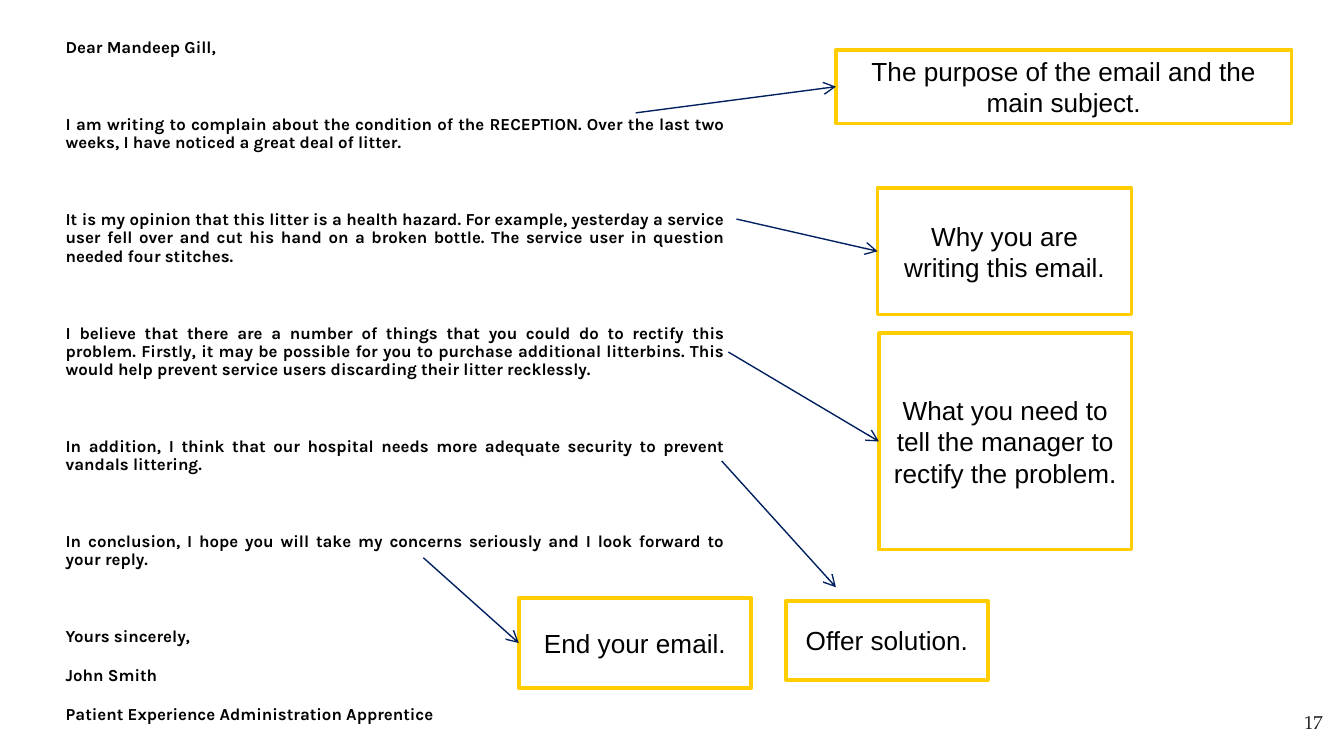
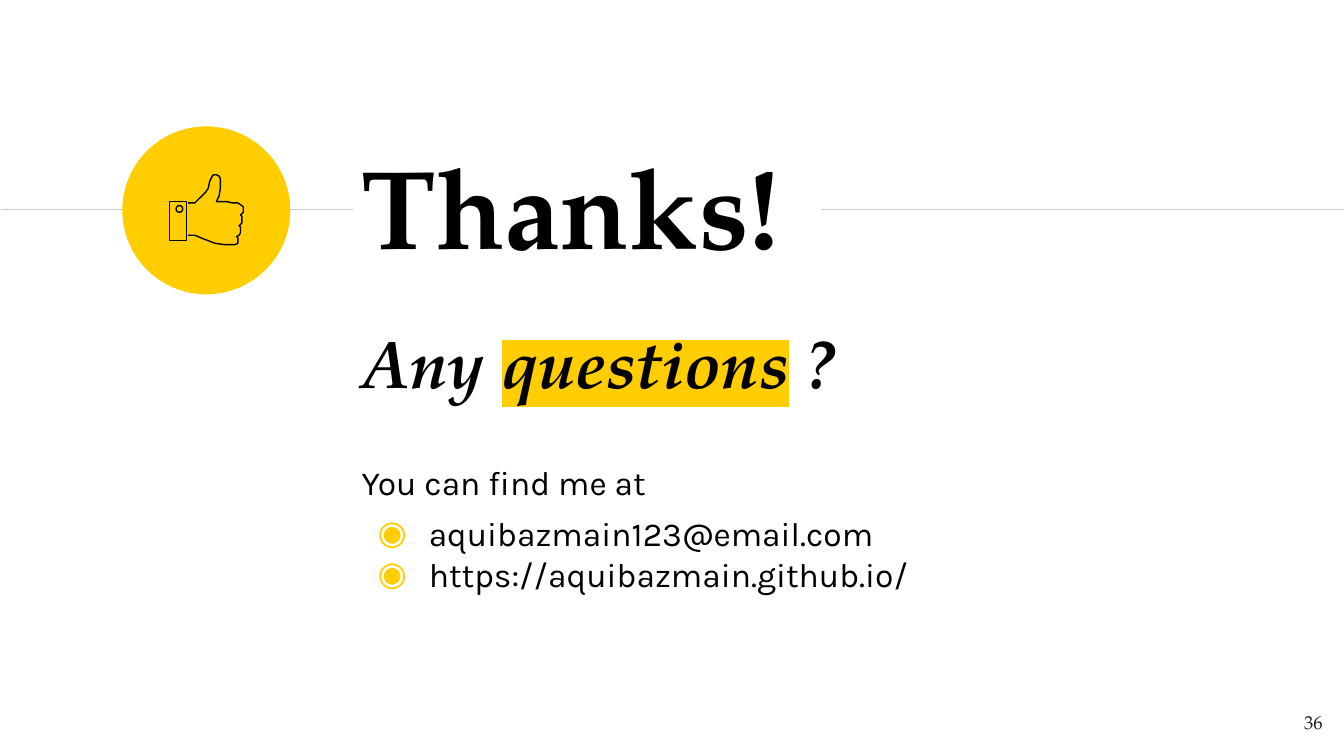
from lxml.etree import SubElement
from pptx import Presentation
from pptx.dml.color import RGBColor
from pptx.enum.shapes import MSO_CONNECTOR as Connector, MSO_SHAPE as Preset
from pptx.enum.text import MSO_ANCHOR as Anchor, MSO_AUTO_SIZE as AutoSize, PP_ALIGN as Align
from pptx.oxml.ns import qn
from pptx.util import Inches, Pt

COLUMNS = 100  # square grid cells across the slide
COLORS = {
    "text": "000000",
    "number": "1D1D1B",
    "accent": "FFCD00",
    "arrow": "002060",
    "rule": "CCCCCC",
    "paper": "FFFFFF",
}
SERIF, SANS, PLAIN = "TeX Gyre Pagella", "Karla", "Arial"
TITLE_LAYOUT, BLANK_LAYOUT = 0, 6
LEFT_SIDE = 1  # connection site of a rectangle

LETTER_GAP, SECTION_GAP = 11, 31.5
LETTER = [
    ("Dear Mandeep Gill,", 0),
    ("I am writing to complain about the condition of the RECEPTION. Over the last two "
     "weeks, I have noticed a great deal of litter.", SECTION_GAP),
    ("It is my opinion that this litter is a health hazard. For example, yesterday a "
     "service user fell over and cut his hand on a broken bottle. The service user in "
     "question needed four stitches.", SECTION_GAP),
    ("I believe that there are a number of things that you could do to rectify this "
     "problem. Firstly, it may be possible for you to purchase additional litterbins. "
     "This would help prevent service users discarding their litter recklessly.",
     SECTION_GAP),
    ("In addition, I think that our hospital needs more adequate security to prevent "
     "vandals littering.", SECTION_GAP),
    ("In conclusion, I hope you will take my concerns seriously and I look forward to "
     "your reply.", SECTION_GAP),
    ("Yours sincerely,", SECTION_GAP),
    ("John Smith", LETTER_GAP),
    ("Patient Experience Administration Apprentice", LETTER_GAP),
]

# Text, box, arrow start, arrow end (None: the middle of the box's left side)
CALLOUTS = [
    ("The purpose of the email and the main subject.",
     (62.2, 3.7, 33.9, 5.5), (47.3, 8.4), None),
    ("Why you are writing this email.", (65.3, 14, 18.9, 9.4), (54.8, 16.3), None),
    ("What you need to tell the manager to rectify the problem.",
     (65.4, 24.8, 18.8, 16.1), (54.2, 26.2), None),
    ("Offer solution.", (58.5, 44.7, 15, 5.9), (53.7, 34.3), (62.2, 43.7)),
    ("End your email.", (38.6, 44.5, 17.3, 6.7), (31.5, 41.5), None),
]

HAND = [
    (14, 17.5), (14.5, 17.5), (15.2, 17.8), (16, 18.1), (16.7, 18.2), (17.5, 18.2),
    (17.7, 18.1), (17.7, 17.7), (17.6, 17.6), (17.8, 17.5), (17.9, 17.3), (17.9, 16.9),
    (17.8, 16.8), (18, 16.6), (18, 16.1), (17.9, 16), (18.1, 15.8), (18.1, 15.4),
    (18, 15.3), (17.7, 15.1), (17.3, 15.1), (16.9, 15), (16.1, 15), (16.3, 14.6),
    (16.4, 14), (16.4, 13.3), (16.3, 13.1), (16.1, 13), (15.9, 13), (15.8, 13.1),
    (15.6, 13.5), (15.5, 14), (15.3, 14.3), (15.1, 14.5), (14.5, 15.1), (14, 15.1),
]


def rgb(name):
    return RGBColor.from_string(COLORS[name])


def add_color(parent, tag, name):
    SubElement(SubElement(parent, qn(tag)), qn("a:srgbClr"), val=COLORS[name])


def add_run(paragraph, text, font=SANS, size=18, color="text", bold=False,
            italic=False, highlight=None):
    run = paragraph.add_run()
    run.text = text
    run.font.size, run.font.bold, run.font.italic = Pt(size), bold, italic
    run.font.color.rgb = rgb(color)
    if highlight:
        add_color(run.font._element, "a:highlight", highlight)
    run.font.name = font


class Deck:
    """Holds the shared style and the slide being filled; boxes are in grid cells."""

    def __init__(self):
        self.presentation = Presentation()
        self.presentation.slide_width = Inches(10)
        self.presentation.slide_height = Inches(10 * 9 / 16)
        self.cell = self.presentation.slide_width / COLUMNS
        self.slide = None

    def grid(self, *cells):
        return [round(cell * self.cell) for cell in cells]

    def new_slide(self, layout, number):
        layouts = self.presentation.slide_layouts
        self.slide = self.presentation.slides.add_slide(layouts[layout])
        self.slide.background.fill.solid()
        self.slide.background.fill.fore_color.rgb = rgb("paper")
        frame = self.text_box((93.4, 51.9, 6, 4.3), inset=1)
        self.paragraph(frame, number, align=Align.RIGHT, font=SERIF, size=10,
                       color="number")

    def prepare_frame(self, shape, inset=None, anchor=Anchor.TOP):
        frame = shape.text_frame
        frame.word_wrap, frame.auto_size = True, AutoSize.NONE
        frame.vertical_anchor = anchor
        if inset is not None:
            margin, = self.grid(inset)
            frame.margin_left = frame.margin_right = margin
            frame.margin_top = frame.margin_bottom = margin
        return frame

    def text_box(self, box, **options):
        return self.prepare_frame(self.slide.shapes.add_textbox(*self.grid(*box)), **options)

    def placeholder(self, index, box, **options):
        shape = self.slide.placeholders[index]
        shape.left, shape.top, shape.width, shape.height = self.grid(*box)
        return self.prepare_frame(shape, inset=1, **options)

    def paragraph(self, frame, text, align=Align.LEFT, before=0, spacing=1.0,
                  bullet=None, **style):
        """Fills the empty first paragraph, or adds one after the others."""
        paragraph = frame.paragraphs[0]
        if paragraph.runs:
            paragraph = frame.add_paragraph()
        paragraph.alignment, paragraph.line_spacing = align, spacing
        paragraph.space_before = Pt(before)
        if bullet:
            properties = paragraph._p.get_or_add_pPr()
            properties.set("marL", str(Inches(0.5)))
            properties.set("indent", str(-Inches(0.38)))
            add_color(properties, "a:buClr", "accent")
            SubElement(properties, qn("a:buChar"), char=bullet)
        add_run(paragraph, text, **style)
        return paragraph

    def paint(self, shape, fill=None, line=None, width=0.75):
        shape.shadow.inherit = False
        if fill:
            shape.fill.solid()
            shape.fill.fore_color.rgb = rgb(fill)
        else:
            shape.fill.background()
        if line:
            shape.line.color.rgb, shape.line.width = rgb(line), Pt(width)
        else:
            shape.line.fill.background()
        return shape

    def shape(self, preset, box, shapes=None, **style):
        shapes = shapes or self.slide.shapes
        return self.paint(shapes.add_shape(preset, *self.grid(*box)), **style)

    def line(self, start, end, color, arrow=False):
        connector = self.slide.shapes.add_connector(
            Connector.STRAIGHT, *self.grid(*start, *end))
        connector.line.color.rgb, connector.line.width = rgb(color), Pt(0.75)
        if arrow:
            SubElement(connector.line._get_or_add_ln(), qn("a:tailEnd"), type="arrow")
        SubElement(connector._element.spPr, qn("a:effectLst"))
        return connector

    def callout(self, text, box, start, end):
        shape = self.shape(Preset.RECTANGLE, box, fill="paper", line="accent", width=2)
        frame = self.prepare_frame(shape, anchor=Anchor.MIDDLE)
        self.paragraph(frame, text, align=Align.CENTER, font=PLAIN, size=14)
        left, top, _, height = box
        arrow = self.line(start, end or (left, top + height / 2), "arrow", arrow=True)
        if end is None:
            arrow.end_connect(shape, LEFT_SIDE)

    def thumbs_up(self):
        shapes = self.slide.shapes.add_group_shape().shapes
        self.shape(Preset.RECTANGLE, (12.6, 15, 1.3, 2.9), shapes, line="text")
        self.shape(Preset.OVAL, (13.1, 15.3, 0.5, 0.5), shapes, line="text")
        builder = shapes.build_freeform(*self.grid(*HAND[0]))
        builder.add_line_segments([self.grid(*point) for point in HAND[1:]], close=False)
        self.paint(builder.convert_to_shape(), line="text")


def add_letter_slide(deck):
    deck.new_slide(BLANK_LAYOUT, "17")
    letter = deck.text_box((3.9, 2.4, 50.9, 52.1))
    for text, gap in LETTER:
        deck.paragraph(letter, text, align=Align.JUSTIFY, before=gap, spacing=0.9,
                       size=9, bold=True)
    for callout in CALLOUTS:
        deck.callout(*callout)


def add_thanks_slide(deck):
    deck.new_slide(TITLE_LAYOUT, "36")
    title = deck.placeholder(0, (25.9, 8.9, 53.7, 12.7), anchor=Anchor.MIDDLE)
    deck.paragraph(title, "Thanks!", font=SERIF, size=60, bold=True)

    body = deck.placeholder(1, (25.9, 22.9, 54.9, 8.6))
    question = {"font": SERIF, "size": 36, "bold": True, "italic": True}
    paragraph = deck.paragraph(body, "Any ", **question)
    add_run(paragraph, "questions", highlight="accent", **question)
    add_run(paragraph, " ?", **question)
    deck.paragraph(body, "You can find me at", before=32)
    deck.paragraph(body, "aquibazmain123@email.com", before=6, bullet="◉")
    deck.paragraph(body, "https://aquibazmain.github.io/", bullet="◉")

    for start, end in ((0.1, 26.3), (61.1, COLUMNS)):
        deck.line((start, 15.6), (end, 15.6), "rule")
    deck.shape(Preset.OVAL, (9.1, 9.4, 12.5, 12.5), fill="accent")
    deck.thumbs_up()


def main():
    deck = Deck()
    add_letter_slide(deck)
    add_thanks_slide(deck)
    deck.presentation.save("out.pptx")


if __name__ == "__main__":
    main()
